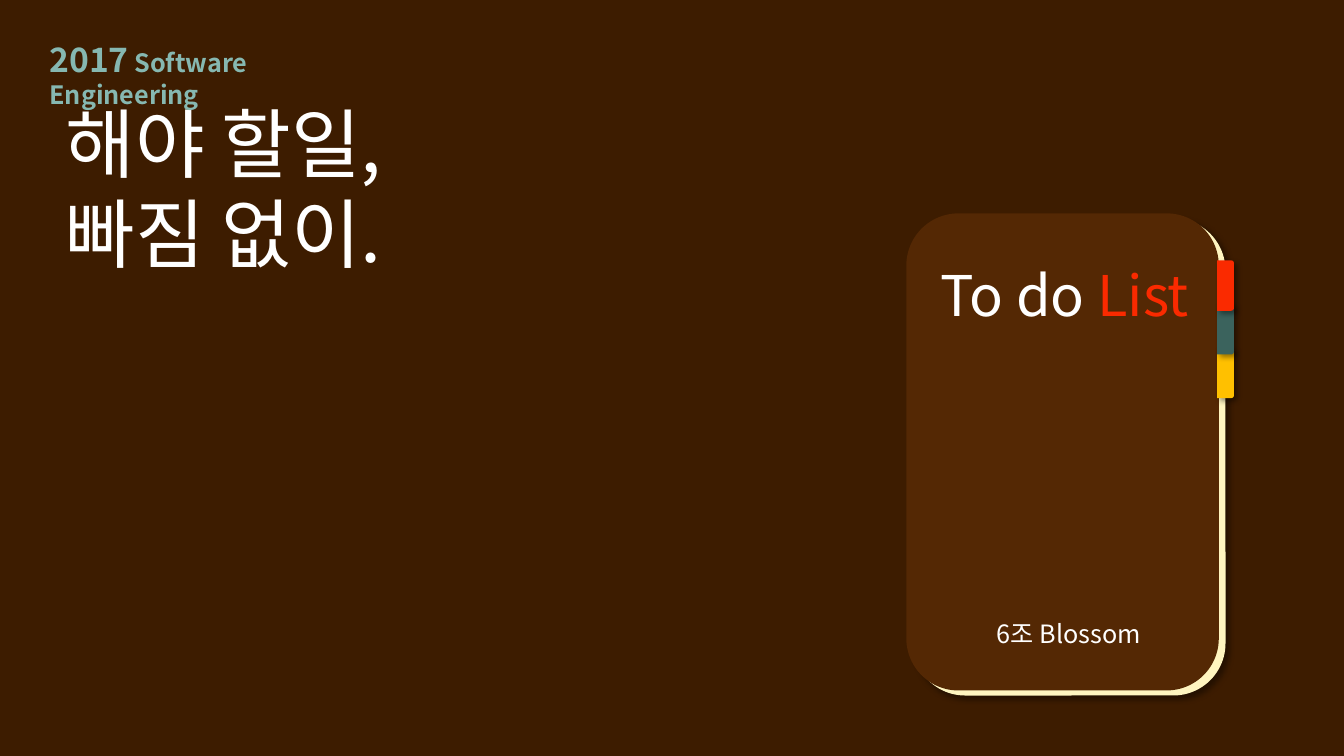
from pptx import Presentation, util as u
from pptx.dml.color import RGBColor
from pptx.enum import shapes, text
from pptx.oxml import parse_xml
from pptx.oxml.ns import nsdecls, qn

WHITE, RED, TEAL = "FFFFFF", "FA2A00", "86B8B1"


def paint(target, color):
    target.rgb = RGBColor.from_string(color)


class Deck:
    font = "Noto Sans CJK KR"
    cols, rows = 16, 9

    def __init__(self):
        self.prs = Presentation()
        self.prs.slide_width = u.Inches(13.33)
        self.prs.slide_height = u.Inches(7.5)
        self.slide = self.prs.slides.add_slide(self.prs.slide_layouts[5])

    def back(self, color):
        fill = self.slide.background.fill
        fill.solid()
        paint(fill.fore_color, color)

    def area(self, x, y, w, h):
        col = self.prs.slide_width / self.cols
        row = self.prs.slide_height / self.rows
        return [int(n) for n in (x * col, y * row, w * col, h * row)]

    def block(self, kind, box, color, turn=0, shade=True):
        shape = self.slide.shapes.add_shape(kind, *self.area(*box))
        shape.rotation = turn
        shape.fill.solid()
        paint(shape.fill.fore_color, color)
        shape.line.fill.background()
        shape.shadow.inherit = False
        if shade:
            shape._element.spPr.find(qn("a:effectLst")).append(parse_xml(
                f'<a:outerShdw {nsdecls("a")} blurRad="{u.Pt(4)}" dist="{u.Pt(3)}" '
                'dir="2700000" algn="tl" rotWithShape="0"><a:srgbClr val="000000">'
                '<a:alpha val="40000"/></a:srgbClr></a:outerShdw>'))

    def fill_in(self, shape, lines, align):
        frame = shape.text_frame
        frame.word_wrap = True
        frame.auto_size = text.MSO_AUTO_SIZE.SHAPE_TO_FIT_TEXT
        frame.vertical_anchor = text.MSO_ANCHOR.TOP
        for i, line in enumerate(lines):
            para = frame.add_paragraph() if i else frame.paragraphs[0]
            para.alignment = align
            for words, size, color, bold in line:
                run = para.add_run()
                run.text = words
                run.font.size = u.Pt(size)
                run.font.bold = bold
                run.font.name = self.font
                paint(run.font.color, color)
                run.font._element.find(qn("a:latin")).addnext(parse_xml(
                    f'<a:ea {nsdecls("a")} typeface="{self.font}"/>'))

    def title(self, box, lines):
        shape = self.slide.shapes.title
        shape.left, shape.top, shape.width, shape.height = self.area(*box)
        self.fill_in(shape, lines, text.PP_ALIGN.CENTER)

    def label(self, box, lines, align=text.PP_ALIGN.LEFT):
        shape = self.slide.shapes.add_textbox(*self.area(*box))
        self.fill_in(shape, lines, align)


def main():
    deck = Deck()
    deck.back("3D1C00")
    deck.label((0.47, 0.4, 4.39, 0.6), [[
        ("2017", 24, TEAL, True), (" Software Engineering", 18, TEAL, True)]])
    deck.title((0.47, 1.09, 4.39, 2.3), [
        [(words, 54, WHITE, False)] for words in ("해야 할일,", "빠짐 없이.")])

    card = shapes.MSO_SHAPE.ROUNDED_RECTANGLE
    deck.block(card, (10.87, 2.6, 3.72, 5.68), "FFF5C0")
    deck.block(card, (10.79, 2.54, 3.72, 5.68), "542804", shade=False)

    tab = shapes.MSO_SHAPE.ROUND_2_SAME_RECTANGLE
    for i, color in enumerate(("FFC000", "3B635D", RED)):
        deck.block(tab, (14.29, 4.34 - 0.52 * i, 0.6, 0.2), color, turn=90)

    deck.label((10.87, 3.04, 3.61, 0.92), [[
        ("To do ", 40, WHITE, False), ("List", 40, RED, False)]],
        text.PP_ALIGN.CENTER)
    deck.label((11.75, 7.3, 1.96, 0.48), [[("6조 Blossom", 18, WHITE, False)]])
    deck.prs.save("out.pptx")


if __name__ == "__main__":
    main()
